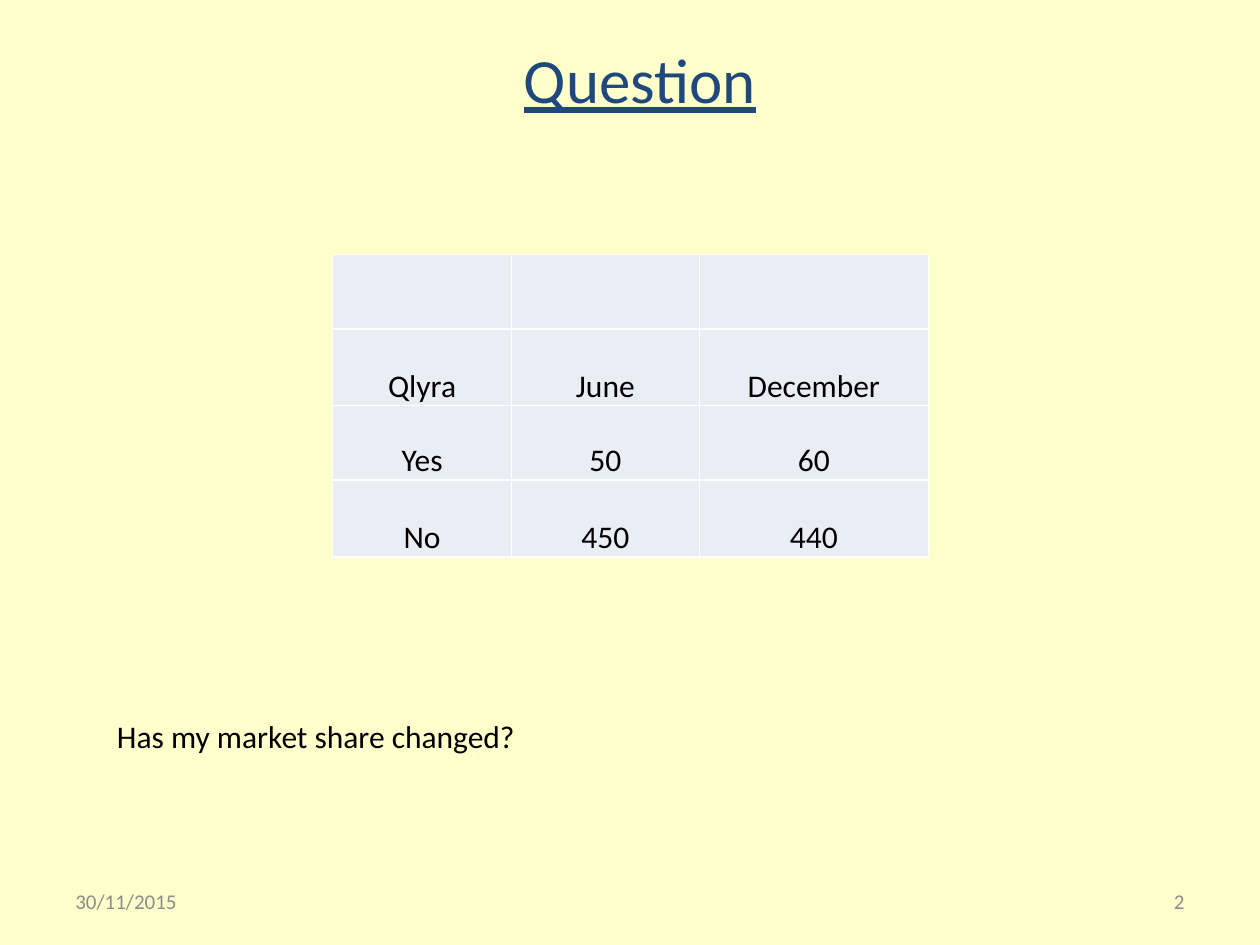
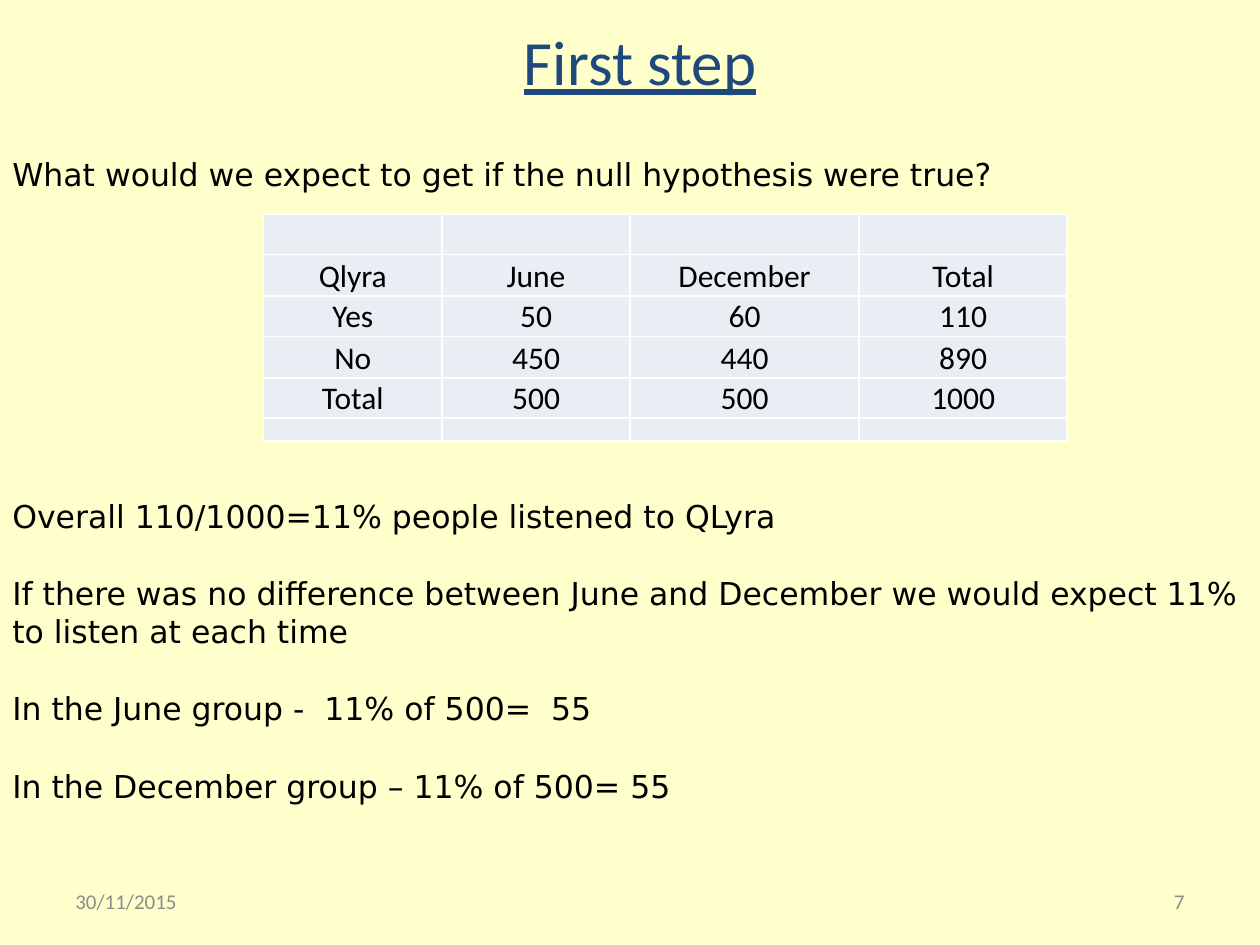
from lxml import etree
from pptx import Presentation
from pptx.dml.color import RGBColor
from pptx.enum.text import MSO_ANCHOR, PP_ALIGN
from pptx.oxml.ns import qn
from pptx.util import Inches, Pt

CREAM = RGBColor(0xFF, 0xFF, 0xCC)
NAVY = RGBColor(0x1F, 0x49, 0x7D)
GREY = RGBColor(0x8C, 0x8C, 0x8C)
BLACK = RGBColor(0, 0, 0)
PALE_BLUE = RGBColor(0xE9, 0xED, 0xF4)
WHITE = RGBColor(0xFF, 0xFF, 0xFF)

LEFT, CENTER, RIGHT = PP_ALIGN.LEFT, PP_ALIGN.CENTER, PP_ALIGN.RIGHT
TOP, MIDDLE, BOTTOM = MSO_ANCHOR.TOP, MSO_ANCHOR.MIDDLE, MSO_ANCHOR.BOTTOM

TITLE_FONT = {"name": "Calibri", "size": Pt(36), "underline": True, "bold": False}
FOOTER_FONT = {"name": "Calibri", "size": Pt(12)}
TABLE_FONT = {"name": "Calibri", "size": Pt(18), "bold": False}
BODY_FONT = {"name": "DejaVu Sans", "size": Pt(18)}
CELL_FORMAT = {
    "vertical_anchor": BOTTOM,
    "margin_left": Inches(0.01),
    "margin_right": Inches(0.01),
    "margin_top": Inches(0.01),
    "margin_bottom": 0,
}

DATE = "30/11/2015"
COLUMN_WIDTHS = [1.42, 1.49, 1.82, 1.65]
SURVEY = [
    ["", "", ""],
    ["Qlyra", "June", "December"],
    ["Yes", "50", "60"],
    ["No", "450", "440"],
]
TOTALS = ["", "Total", "110", "890"]
SURVEY_WITH_TOTALS = [row + [total] for row, total in zip(SURVEY, TOTALS)] + [
    ["Total", "500", "500", "1000"],
    [""] * 4,
]
REASONING = [
    ("What would we expect to get if the null hypothesis were true?", 0),
    ("Overall 110/1000=11% people listened to QLyra", 174),
    ("If there was no difference between June and December "
     "we would expect 11% to listen at each time", 22.5),
    ("In the June group -  11% of 500=  55", 22.5),
    ("In the December group – 11% of 500= 55", 22.5),
]


def apply(target, values):
    for attribute, value in values.items():
        setattr(target, attribute, value)


def write(paragraph, text, font, color, align=LEFT):
    paragraph.alignment = align
    run = paragraph.add_run()
    run.text = text
    apply(run.font, font)
    run.font.color.rgb = color


def add_text(slide, box, lines, font, color=BLACK, align=LEFT, anchor=TOP, wrap=True):
    frame = slide.shapes.add_textbox(*map(Inches, box)).text_frame
    apply(frame, {"word_wrap": wrap, "vertical_anchor": anchor})
    for index, (text, gap) in enumerate(lines):
        paragraph = frame.add_paragraph() if index else frame.paragraphs[0]
        paragraph.space_before = Pt(gap)
        write(paragraph, text, font, color, align)


def add_page(prs, heading, title_height, number):
    slide = prs.slides.add_slide(prs.slide_layouts[5])
    title = slide.shapes.title
    apply(title, {"left": Inches(0.83), "top": 0,
                  "width": Inches(8.5), "height": Inches(title_height)})
    title.text_frame.vertical_anchor = MIDDLE
    write(title.text_frame.paragraphs[0], heading, TITLE_FONT, NAVY, CENTER)
    for left, text, align in [(0.5, DATE, LEFT), (7.17, number, RIGHT)]:
        add_text(slide, (left, 6.95, 2.33, 0.4), [(text, 0)],
                 FOOTER_FONT, GREY, align, MIDDLE)
    return slide


def add_borders(cell):
    properties = cell._tc.get_or_add_tcPr()
    for side in ("lnL", "lnR", "lnT", "lnB"):
        line = etree.SubElement(properties, qn(f"a:{side}"), w=str(Pt(1)))
        fill = etree.SubElement(line, qn("a:solidFill"))
        etree.SubElement(fill, qn("a:srgbClr"), val=str(WHITE))


def fill_cell(cell, text):
    apply(cell, CELL_FORMAT)
    add_borders(cell)
    cell.fill.solid()
    cell.fill.fore_color.rgb = PALE_BLUE
    paragraph = cell.text_frame.paragraphs[0]
    if text:
        write(paragraph, text, TABLE_FONT, BLACK, CENTER)
    else:
        etree.SubElement(paragraph._p, qn("a:endParaRPr"), sz="800")


def add_survey_table(slide, left, top, rows, heights):
    widths = COLUMN_WIDTHS[:len(rows[0])]
    table = slide.shapes.add_table(
        len(rows), len(widths), Inches(left), Inches(top),
        Inches(sum(widths)), Inches(sum(heights))).table
    apply(table, {"first_row": False, "horz_banding": False})
    for column, width in zip(table.columns, widths):
        column.width = Inches(width)
    for row, height, texts in zip(table.rows, heights, rows):
        row.height = Inches(height)
        for cell, text in zip(row.cells, texts):
            fill_cell(cell, text)


def main():
    prs = Presentation()
    prs.slide_width, prs.slide_height = Inches(10), Inches(7.5)
    background = prs.slide_master.background.fill
    background.solid()
    background.fore_color.rgb = CREAM

    question = add_page(prs, "Question", 1.25, "2")
    add_survey_table(question, 2.64, 2.02, SURVEY, [0.59, 0.61] * 2)
    add_text(question, (0.83, 5.64, 3.4, 0.71),
             [("Has my market share changed?", 0)], TABLE_FONT, wrap=False)

    first_step = add_page(prs, "First step", 0.96, "7")
    add_text(first_step, (0, 1.18, 10, 5.55), REASONING, BODY_FONT)
    add_survey_table(first_step, 2.09, 1.7, SURVEY_WITH_TOTALS,
                     [0.32, 0.33, 0.32, 0.33, 0.32, 0.18])

    prs.save("out.pptx")


if __name__ == "__main__":
    main()
